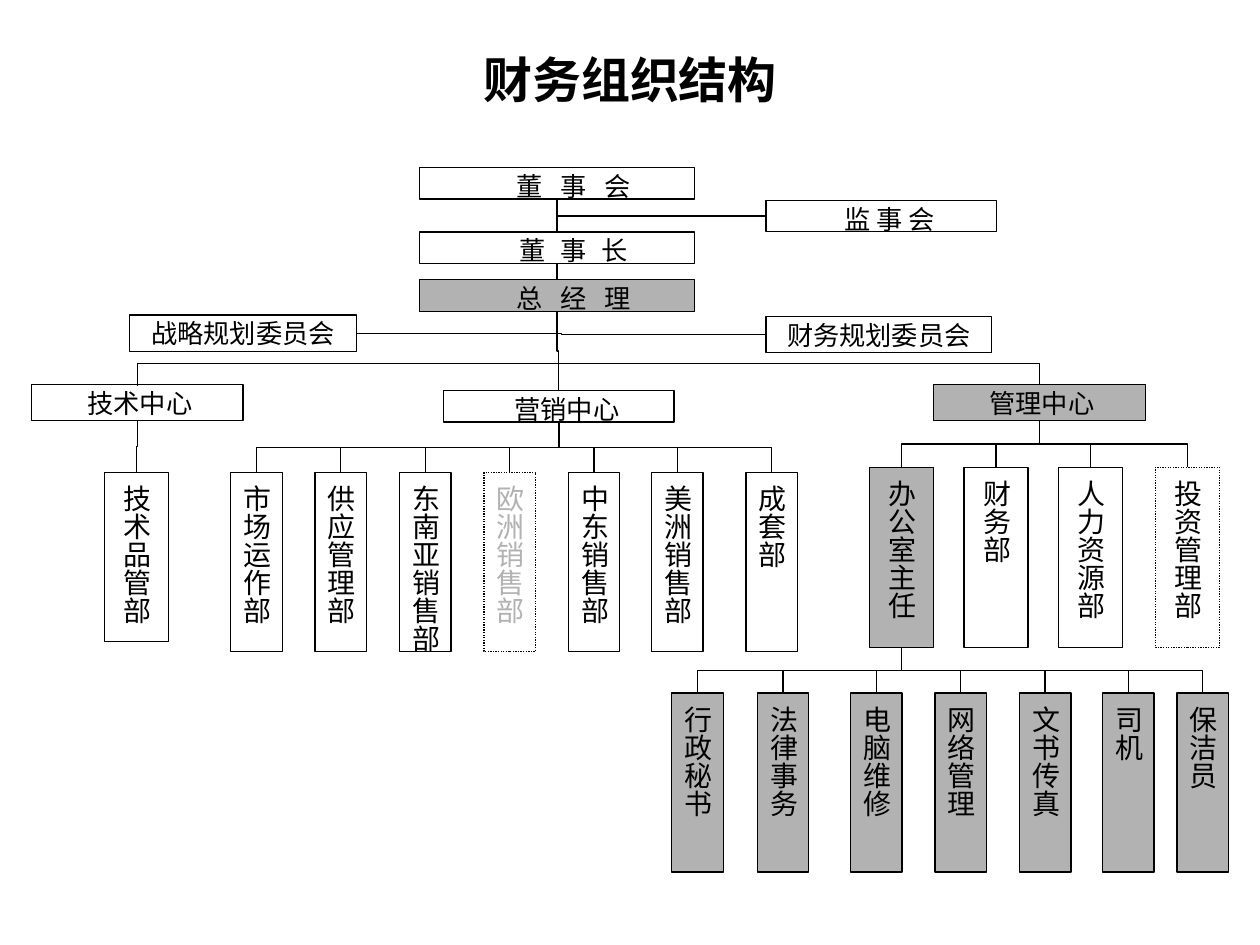
"""Build a one-page finance organisation chart."""
from dataclasses import dataclass

from lxml.etree import SubElement
from pptx import Presentation
from pptx.dml.color import RGBColor
from pptx.enum.dml import MSO_LINE
from pptx.enum.shapes import MSO_CONNECTOR, MSO_SHAPE
from pptx.enum.text import MSO_ANCHOR, PP_ALIGN
from pptx.oxml.ns import qn
from pptx.shapes.autoshape import Shape
from pptx.shapes.connector import Connector
from pptx.slide import Slide
from pptx.util import Inches, Pt

COLORS = {"ink": "000000", "paper": "FFFFFF", "gray": "B2B2B2"}
LATIN_FONT = "Times New Roman"
CHINESE_FONT = "Noto Sans CJK SC"
TOP, LEFT, BOTTOM, RIGHT = range(4)


@dataclass
class Unit:
    text: str
    left: float
    top: float
    width: float
    height: float
    fill: str | None = None
    ink: str = "ink"
    dotted: bool = False
    vertical: bool = False
    indent: float = 0
    tracking: float = 0


@dataclass
class Row:
    parent: str
    top: float
    width: float
    height: float
    members: list[tuple[str, float]]
    fill: str | None = None


UNITS = [
    Unit("董 事 会", 3.33, 1.33, 2.18, 0.25, "paper", indent=0.27, tracking=3.35),
    Unit("董 事 长", 3.33, 1.84, 2.18, 0.25, "paper", indent=0.27, tracking=2.5),
    Unit("监 事 会", 6.08, 1.59, 1.83, 0.25, "paper", indent=0.13),
    Unit("总 经 理", 3.33, 2.22, 2.18, 0.25, "gray", indent=0.27, tracking=3.35),
    Unit("战略规划委员会", 1.03, 2.5, 1.8, 0.29, "paper"),
    Unit("财务规划委员会", 6.08, 2.51, 1.79, 0.29),
    Unit("技术中心", 0.25, 3.05, 1.68, 0.29, "paper", indent=0.04),
    Unit("营销中心", 3.52, 3.1, 1.83, 0.25, indent=0.13),
    Unit("管理中心", 7.41, 3.05, 1.68, 0.29, "gray", indent=0.04),
]
ROWS = [
    Row("技术中心", 3.75, 0.51, 1.34, [("技术品管部", 0.83)]),
    Row("营销中心", 3.75, 0.41, 1.42, [
        ("市场运作部", 1.83), ("供应管理部", 2.5), ("东南亚销售部", 3.17),
        ("欧洲销售部", 3.84), ("中东销售部", 4.51), ("美洲销售部", 5.17),
        ("成套部", 5.92)]),
    Row("管理中心", 3.71, 0.51, 1.43, [
        ("办公室主任", 6.9), ("财务部", 7.65), ("人力资源部", 8.4), ("投资管理部", 9.17)]),
    Row("办公室主任", 5.5, 0.41, 1.42, [
        ("行政秘书", 5.33), ("法律事务", 6.01), ("电脑维修", 6.75), ("网络管理", 7.42),
        ("文书传真", 8.09), ("司机", 8.75), ("保洁员", 9.34)], "gray"),
]
FILLS = {"办公室主任": "gray"}
INKS = {"欧洲销售部": "gray"}
DOTTED = {"欧洲销售部", "投资管理部"}


def color(name: str) -> RGBColor:
    return RGBColor.from_string(COLORS[name])


def style_font(paragraph, size: float, latin: str, ink: str, tracking: float = 0) -> None:
    font = paragraph.font
    font.size, font.name = Pt(size), latin
    font.color.rgb = color(ink)
    SubElement(font._rPr, qn("a:ea")).set("typeface", CHINESE_FONT)
    if tracking:
        font._rPr.set("spc", str(round(tracking * 100)))


def draw_unit(page: Slide, unit: Unit) -> Shape:
    box = page.shapes.add_shape(
        MSO_SHAPE.RECTANGLE, Inches(unit.left), Inches(unit.top),
        Inches(unit.width), Inches(unit.height))
    box.shadow.inherit = False
    if unit.fill:
        box.fill.solid()
        box.fill.fore_color.rgb = color(unit.fill)
    else:
        box.fill.background()
    box.line.color.rgb = color("ink")
    box.line.width = Pt(0.75)
    if unit.dotted:
        box.line.dash_style = MSO_LINE.ROUND_DOT

    frame = box.text_frame
    frame.word_wrap = not unit.vertical
    frame.vertical_anchor = MSO_ANCHOR.MIDDLE if unit.vertical else MSO_ANCHOR.TOP
    side, end = (0.05, 0.1) if unit.vertical else (0.1, 0.05)
    frame.margin_left = frame.margin_right = Inches(side)
    frame.margin_top = frame.margin_bottom = Inches(end)
    paragraph = frame.paragraphs[0]
    paragraph.text = unit.text
    paragraph.alignment = PP_ALIGN.CENTER
    if unit.vertical:
        frame._txBody.bodyPr.set("vert", "eaVert")
    else:
        paragraph.line_spacing = 0.9
    if unit.indent:
        paragraph._p.get_or_add_pPr().set("marL", str(Inches(unit.indent)))
    style_font(paragraph, 16 if unit.vertical else 15, LATIN_FONT, unit.ink, unit.tracking)
    return box


def site(box: Shape, side: int) -> tuple[int, int]:
    x = box.left + {LEFT: 0, RIGHT: box.width}.get(side, box.width // 2)
    y = box.top + {TOP: 0, BOTTOM: box.height}.get(side, box.height // 2)
    return x, y


def join(page: Slide, start: Shape, start_side: int, end: Shape, end_side: int,
         kind: MSO_CONNECTOR = MSO_CONNECTOR.ELBOW) -> Connector:
    line = page.shapes.add_connector(kind, *site(start, start_side), *site(end, end_side))
    line.begin_connect(start, start_side)
    line.end_connect(end, end_side)
    line.line.color.rgb = color("ink")
    line.line.width = Pt(0.75)
    SubElement(line._element.spPr, qn("a:effectLst"))
    return line


def turn_upright(line: Connector, depth: int, bend: float = 0.5) -> None:
    """Rotate an elbow so that it leaves and arrives vertically."""
    start_x, start_y, end_x = line.begin_x, line.begin_y, line.end_x
    span = abs(end_x - start_x)
    line.left = (start_x + end_x - depth) // 2
    line.top = start_y + (depth - span) // 2
    line.width, line.height = depth, span
    frame = line._element.spPr.find(qn("a:xfrm"))
    for name in ("flipH", "flipV"):
        frame.attrib.pop(name, None)
    if end_x < start_x:
        frame.set("rot", "5400000")
    else:
        frame.set("rot", "16200000")
        frame.set("flipH", "1")
    geometry = line._element.spPr.find(qn("a:prstGeom"))
    guides = geometry.find(qn("a:avLst"))
    if guides is None:
        guides = SubElement(geometry, qn("a:avLst"))
    SubElement(guides, qn("a:gd"), name="adj1", fmla=f"val {round(bend * 100000)}")


def drop(page: Slide, parent: Shape, child: Shape) -> None:
    line = join(page, parent, BOTTOM, child, TOP)
    turn_upright(line, line.end_y - line.begin_y)


def main() -> None:
    deck = Presentation()
    deck.slide_width, deck.slide_height = Inches(10), Inches(7.5)
    page = deck.slides.add_slide(deck.slide_layouts[5])
    title = page.shapes.title
    title.left, title.top = Inches(0.75), Inches(0.42)
    title.width, title.height = Inches(8.5), Inches(0.42)
    title.text_frame.vertical_anchor = MSO_ANCHOR.MIDDLE
    heading = title.text_frame.paragraphs[0]
    heading.text = "财务组织结构"
    heading.alignment = PP_ALIGN.CENTER
    style_font(heading, 28, CHINESE_FONT, "ink")
    heading.font.bold = True

    boxes = {unit.text: draw_unit(page, unit) for unit in UNITS}
    for row in ROWS:
        for text, left in row.members:
            boxes[text] = draw_unit(page, Unit(
                text, left, row.top, row.width, row.height, FILLS.get(text, row.fill),
                INKS.get(text, "ink"), text in DOTTED, vertical=True))
            drop(page, boxes[row.parent], boxes[text])

    board, chairman, manager = (boxes[name] for name in ("董 事 会", "董 事 长", "总 经 理"))
    for upper, lower in ((board, chairman), (chairman, manager)):
        join(page, upper, BOTTOM, lower, TOP, MSO_CONNECTOR.STRAIGHT)
    drop(page, manager, boxes["营销中心"])
    join(page, boxes["财务规划委员会"], LEFT, boxes["战略规划委员会"], RIGHT)
    branch = join(page, boxes["监 事 会"], LEFT, chairman, TOP)
    branch._element.spPr.find(qn("a:prstGeom")).set("prst", "bentConnector2")
    bus = join(page, boxes["管理中心"], TOP, boxes["技术中心"], TOP)
    turn_upright(bus, Inches(0.01), bend=-17)
    deck.save("out.pptx")


if __name__ == "__main__":
    main()
